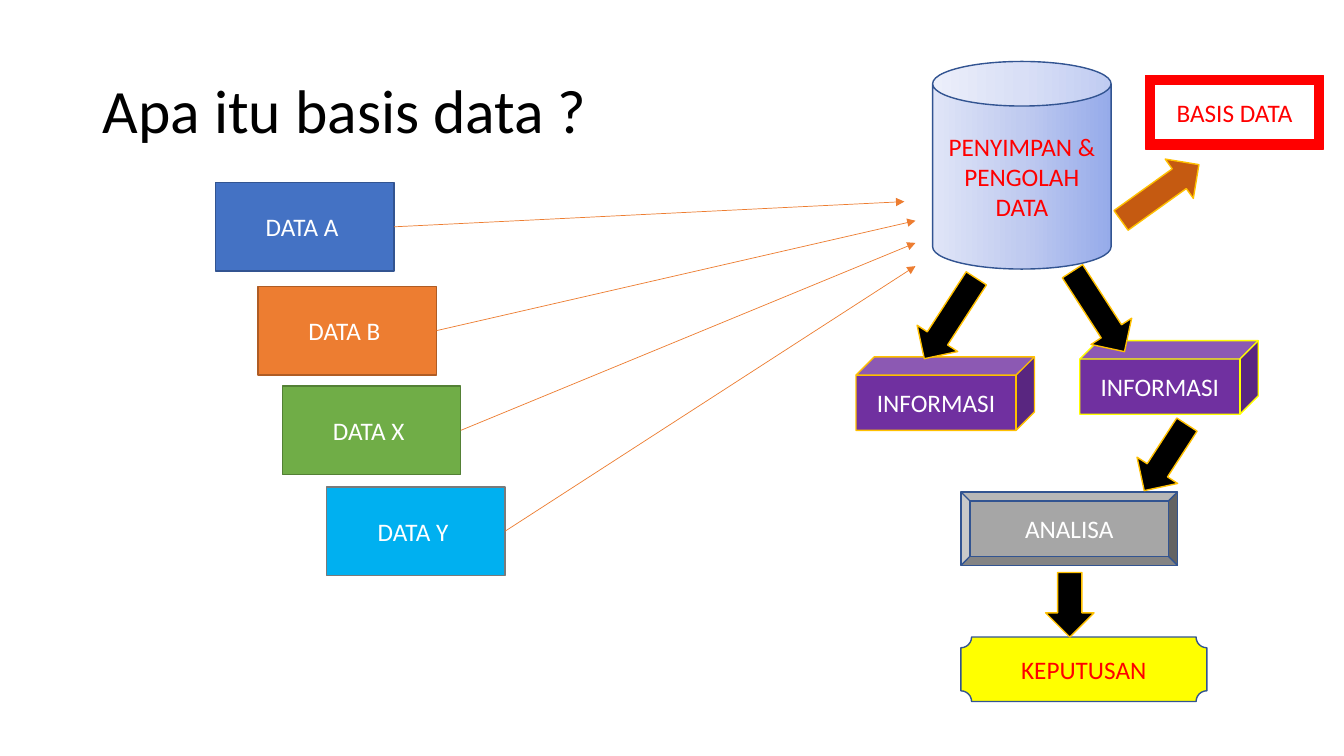
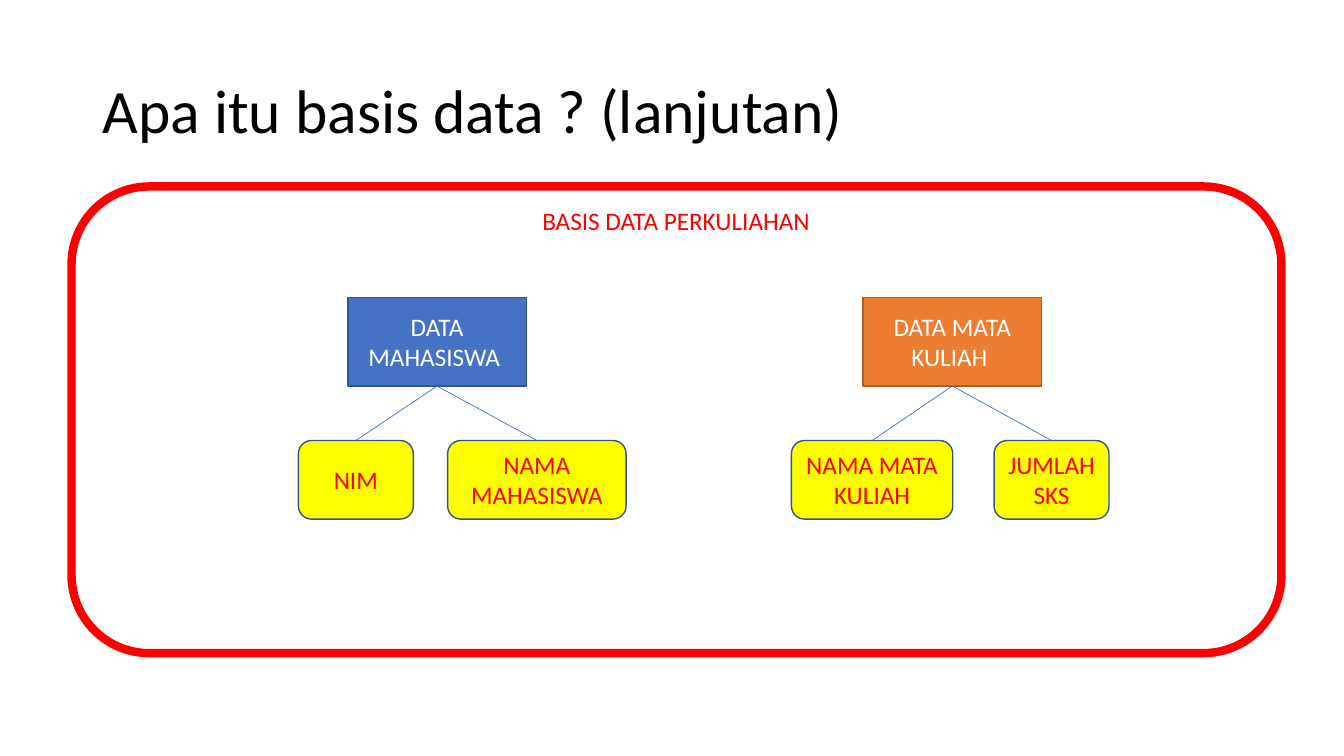
from copy import deepcopy

from lxml import etree
from pptx import Presentation
from pptx.dml.color import RGBColor
from pptx.enum.shapes import MSO_CONNECTOR, MSO_SHAPE
from pptx.enum.text import MSO_ANCHOR, MSO_AUTO_SIZE, PP_ALIGN
from pptx.oxml.ns import qn
from pptx.util import Inches, Pt

RECT = MSO_SHAPE.RECTANGLE
ROUNDED = MSO_SHAPE.ROUNDED_RECTANGLE
CAN = MSO_SHAPE.CAN
CUBE = MSO_SHAPE.CUBE
BEVEL = MSO_SHAPE.BEVEL
PLAQUE = MSO_SHAPE.PLAQUE
FRAME = MSO_SHAPE.FRAME
RIGHT_ARROW = MSO_SHAPE.RIGHT_ARROW
STRAIGHT = MSO_CONNECTOR.STRAIGHT
LEFT, CENTER = PP_ALIGN.LEFT, PP_ALIGN.CENTER
MIDDLE = MSO_ANCHOR.MIDDLE
NO_AUTOFIT = MSO_AUTO_SIZE.NONE
GROW = MSO_AUTO_SIZE.SHAPE_TO_FIT_TEXT

BLACK = RGBColor(0x00, 0x00, 0x00)
WHITE = RGBColor(0xFF, 0xFF, 0xFF)
RED = RGBColor(0xFF, 0x00, 0x00)
YELLOW = RGBColor(0xFF, 0xFF, 0x00)
GOLD = RGBColor(0xFF, 0xC0, 0x00)
BLUE = RGBColor(0x44, 0x72, 0xC4)
DARK_BLUE = RGBColor(0x32, 0x54, 0x91)
ORANGE = RGBColor(0xED, 0x7D, 0x31)
DARK_ORANGE = RGBColor(0xAF, 0x5C, 0x24)
BURNT_ORANGE = RGBColor(0xC5, 0x5A, 0x11)
GREEN = RGBColor(0x70, 0xAD, 0x47)
DARK_GREEN = RGBColor(0x53, 0x80, 0x35)
SKY = RGBColor(0x00, 0xB0, 0xF0)
GRAY = RGBColor(0xA6, 0xA6, 0xA6)
DARK_GRAY = RGBColor(0x7A, 0x7A, 0x7A)
PURPLE = RGBColor(0x70, 0x30, 0xA0)
STORE_SHADES = (RGBColor(0x96, 0xAB, 0xEA), RGBColor(0xC0, 0xCB, 0xF0),
                RGBColor(0xE0, 0xE5, 0xF7))

TOP, BOTTOM, RIGHT = 0, 2, 3
BOX_WIDTH, DATA_HEIGHT, STEP_HEIGHT = 1.77, 0.88, 0.73
ARROW_HEIGHT = 0.48


class Deck:
    """Holds the shared style and the page being drawn."""

    font_name = "Calibri"
    title_size, body_size = Pt(44), Pt(18)

    def __init__(self):
        self.deck = Presentation()
        self.deck.slide_width = Inches(13.33)
        self.deck.slide_height = Inches(7.5)
        self.page = None

    def set_text(self, frame, text, size, color, align):
        frame.text = text
        para = frame.paragraphs[0]
        para.alignment = align
        para.font.name = self.font_name
        para.font.size = size
        para.font.color.rgb = color
        return para

    def add_page(self, title):
        self.page = self.deck.slides.add_slide(self.deck.slide_layouts[5])
        box = self.page.shapes.title
        box.left, box.top = Inches(0.92), Inches(0.4)
        box.width, box.height = Inches(11.5), Inches(1.45)
        frame = box.text_frame
        frame.vertical_anchor = MIDDLE
        frame.auto_size = NO_AUTOFIT
        frame.word_wrap = True
        para = self.set_text(frame, title, self.title_size, BLACK, LEFT)
        para.line_spacing = 0.9

    def shape(self, kind, left, top, width, height, fill, line,
              text="", color=WHITE, weight=1):
        """Draw a preset shape; a fill of None leaves it open."""
        shape = self.page.shapes.add_shape(
            kind, Inches(left), Inches(top), Inches(width), Inches(height))
        shape.shadow.inherit = False
        if fill is None:
            shape.fill.background()
        else:
            shape.fill.solid()
            shape.fill.fore_color.rgb = fill
        shape.line.color.rgb = line
        shape.line.width = Pt(weight)
        if text:
            self.set_text(shape.text_frame, text, self.body_size, color, CENTER)
        return shape

    def data_box(self, text, left, top, fill, line):
        return self.shape(RECT, left, top, BOX_WIDTH, DATA_HEIGHT, fill, line, text)

    def attribute(self, text, left, width):
        return self.shape(ROUNDED, left, 4.37, width, 0.78, YELLOW, DARK_BLUE, text, RED)

    def shade(self, shape, colors):
        """Fill with evenly spaced colours, running from right to left."""
        shape.fill.gradient()
        shape.fill.gradient_angle = 180
        stop_list = shape._element.spPr.find(qn("a:gradFill")).find(qn("a:gsLst"))
        while len(stop_list) < len(colors):
            stop_list.append(deepcopy(stop_list[0]))
        for index, (stop, color) in enumerate(zip(shape.fill.gradient_stops, colors)):
            stop.position = index / (len(colors) - 1)
            stop.color.rgb = color

    def block_arrow(self, left, top, width, angle, fill=BLACK):
        arrow = self.shape(RIGHT_ARROW, left, top, width, ARROW_HEIGHT, fill, GOLD)
        arrow.rotation = angle

    def connector(self, source, side, color, target=None, end=(0, 0)):
        """Join source to the top of target, or point an arrow at a free end."""
        line = self.page.shapes.add_connector(
            STRAIGHT, 0, 0, Inches(end[0]), Inches(end[1]))
        line.begin_connect(source, side)
        line.line.color.rgb = color
        line.line.width = Pt(0.5)
        properties = line._element.spPr
        if target is not None:
            line.end_connect(target, TOP)
        else:
            etree.SubElement(properties.find(qn("a:ln")), qn("a:tailEnd"), type="triangle")
        etree.SubElement(properties, qn("a:effectLst"))

    def label(self, text, left, top, width, height, color):
        box = self.page.shapes.add_textbox(
            Inches(left), Inches(top), Inches(width), Inches(height))
        box.text_frame.word_wrap = False
        box.text_frame.auto_size = GROW
        self.set_text(box.text_frame, text, self.body_size, color, LEFT)


def draw_data_flow(deck):
    deck.add_page("Apa itu basis data ?")

    store = deck.shape(CAN, 9.25, 0.61, BOX_WIDTH, 2.06, WHITE, DARK_BLUE,
                       "PENYIMPAN & PENGOLAH DATA", RED)
    deck.shade(store, STORE_SHADES)

    for text, left, top, fill, line, end in (
            ("DATA A ", 2.14, 1.81, BLUE, DARK_BLUE, (8.97, 2)),
            ("DATA B ", 2.56, 2.84, ORANGE, DARK_ORANGE, (9.08, 2.19)),
            ("DATA X ", 2.8, 3.83, GREEN, DARK_GREEN, (9.08, 2.41)),
            ("DATA Y ", 3.24, 4.83, SKY, DARK_GRAY, (9.08, 2.64))):
        source = deck.data_box(text, left, top, fill, line)
        deck.connector(source, RIGHT, ORANGE, end=end)

    for kind, left, top, width, height, fill, line, text, color in (
            (CUBE, 8.49, 3.54, BOX_WIDTH, STEP_HEIGHT, PURPLE, GOLD, "INFORMASI", WHITE),
            (CUBE, 10.71, 3.38, BOX_WIDTH, STEP_HEIGHT, PURPLE, YELLOW, "INFORMASI", WHITE),
            (BEVEL, 9.53, 4.88, 2.15, STEP_HEIGHT, GRAY, DARK_BLUE, "ANALISA", WHITE),
            (PLAQUE, 9.53, 6.32, 2.44, 0.64, YELLOW, DARK_BLUE, "KEPUTUSAN", RED),
            (FRAME, 11.36, 0.75, BOX_WIDTH, STEP_HEIGHT, RED, RED, "BASIS DATA", RED)):
        deck.shape(kind, left, top, width, height, fill, line, text, color)

    slant = 57.1
    deck.block_arrow(10.42, 2.85, 0.95, slant)
    deck.block_arrow(8.95, 2.92, 0.95, 180 - slant)
    deck.block_arrow(11.17, 4.3, 0.78, 180 - slant)
    deck.block_arrow(10.29, 5.76, 0.64, 90)
    deck.block_arrow(11.03, 1.67, 0.95, 324.4, BURNT_ORANGE)


def draw_course_database(deck):
    deck.add_page("Apa itu basis data ? (lanjutan)")
    deck.shape(ROUNDED, 0.71, 1.85, 12, 4.63, None, RED, weight=6)
    deck.label("BASIS DATA PERKULIAHAN", 5.28, 1.99, 2.88, 0.4, RED)

    for text, left, fill, line, attributes in (
            ("DATA MAHASISWA ", 3.45, BLUE, DARK_BLUE,
             (("NIM", 2.96, 1.14), ("NAMA MAHASISWA", 4.44, BOX_WIDTH))),
            ("DATA MATA KULIAH ", 8.56, ORANGE, DARK_ORANGE,
             (("NAMA MATA KULIAH", 7.85, 1.6), ("JUMLAH SKS", 9.86, 1.14)))):
        entity = deck.data_box(text, left, 2.95, fill, line)
        for name, name_left, width in attributes:
            box = deck.attribute(name, name_left, width)
            deck.connector(entity, BOTTOM, BLUE, target=box)


def main():
    deck = Deck()
    draw_data_flow(deck)
    draw_course_database(deck)
    deck.deck.save("out.pptx")


if __name__ == "__main__":
    main()
